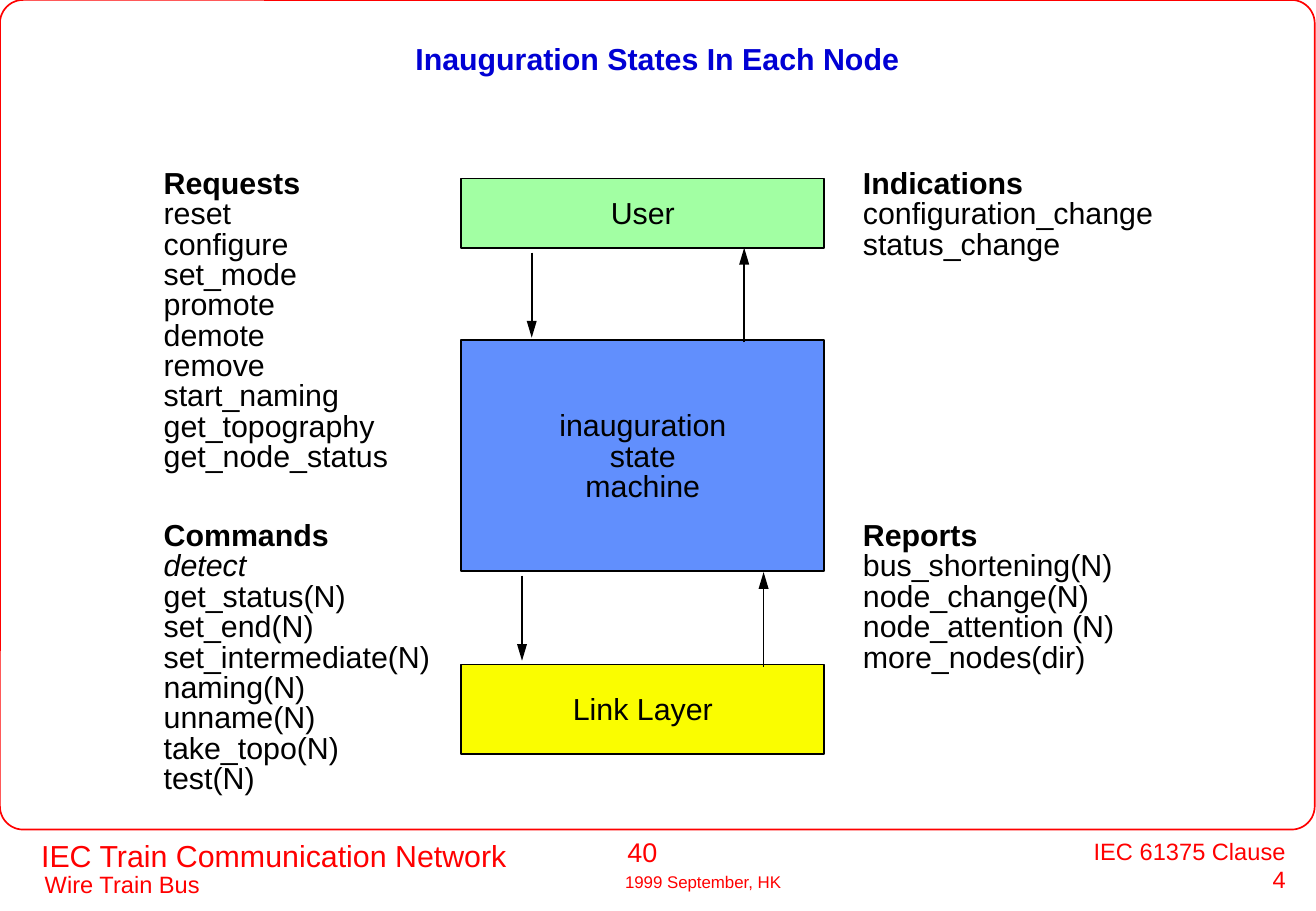
from lxml import etree
from pptx import Presentation
from pptx.dml.color import RGBColor
from pptx.enum.shapes import MSO_CONNECTOR, MSO_SHAPE
from pptx.enum.text import MSO_ANCHOR, PP_ALIGN
from pptx.oxml.ns import qn
from pptx.util import Inches, Pt

RECT = MSO_SHAPE.RECTANGLE
ROUND = MSO_SHAPE.ROUNDED_RECTANGLE
LINE = MSO_CONNECTOR.STRAIGHT
LEFT, MID, RIGHT = PP_ALIGN.LEFT, PP_ALIGN.CENTER, PP_ALIGN.RIGHT
TOP, CENTER = MSO_ANCHOR.TOP, MSO_ANCHOR.MIDDLE
BLACK, RED, BLUE = "000000", "FF0000", "0000D4"


def color(text):
    return RGBColor.from_string(text)


class Board:
    font = "Arial"
    size = 18
    pitch = Pt(18)

    def __init__(self, deck):
        self.slide = deck.slides.add_slide(deck.slide_layouts[5])
        self.shapes = self.slide.shapes

    def run(self, para, text, size, ink, bold=False, slant=False):
        run = para.add_run()
        run.text = text
        font = run.font
        font.name, font.size = self.font, Pt(size)
        font.bold, font.italic = bold, slant
        font.color.rgb = color(ink)

    def frame(self, shape, anchor, top=0.05, wrap=False):
        frame = shape.text_frame
        frame.word_wrap = wrap
        frame.vertical_anchor = anchor
        frame.margin_left = frame.margin_right = Inches(0.1)
        frame.margin_top, frame.margin_bottom = Inches(top), Inches(0.05)
        return frame

    def rows(self, frame, lines, align, head=False, slant=()):
        for num, text in enumerate(lines):
            para = frame.add_paragraph() if num else frame.paragraphs[0]
            para.alignment = align
            para.line_spacing = self.pitch
            self.run(para, text, self.size, BLACK, head and num == 0, text in slant)

    def title(self, text, *box):
        shape = self.shapes.title
        shape.left, shape.top, shape.width, shape.height = map(Inches, box)
        para = self.frame(shape, CENTER, wrap=True).paragraphs[0]
        para.alignment, para.line_spacing = MID, 0.9
        self.run(para, text, self.size, BLUE, True)

    def shape(self, kind, box, ink, fill=None):
        shape = self.shapes.add_shape(kind, *map(Inches, box))
        shape.shadow.inherit = False
        if fill:
            shape.fill.solid()
            shape.fill.fore_color.rgb = color(fill)
        else:
            shape.fill.background()
        shape.line.color.rgb = color(ink)
        shape.line.width = Pt(1)
        return shape

    def border(self, *box):
        self.shape(ROUND, box, RED).adjustments[0] = 0.028

    def block(self, lines, top, high, fill):
        shape = self.shape(RECT, (3.8, top, 2.99, high), BLACK, fill)
        self.rows(self.frame(shape, CENTER, 0.09), lines, MID)

    def label(self, text, box, size, align=LEFT):
        shape = self.shapes.add_textbox(*map(Inches, box))
        para = self.frame(shape, TOP).paragraphs[0]
        para.alignment = align
        self.run(para, text, size, RED)

    def column(self, lines, left, top, slant=()):
        high = 0.15 + 0.25 * len(lines)
        shape = self.shapes.add_textbox(*map(Inches, (left, top, 2.6, high)))
        self.rows(self.frame(shape, TOP, 0.09), lines, LEFT, True, slant)

    def arrow(self, left, start, end):
        line = self.shapes.add_connector(LINE, *map(Inches, (left, start, left, end)))
        line.line.color.rgb = color(BLACK)
        line.line.width = Pt(1)
        stroke = line.line._get_or_add_ln()
        etree.SubElement(stroke, qn("a:tailEnd"), type="triangle", w="med", len="lg")
        etree.SubElement(line._element.spPr, qn("a:effectLst"))


def main():
    deck = Presentation()
    deck.slide_width, deck.slide_height = Inches(10.84), Inches(7.5)
    board = Board(deck)

    board.border(0, 0, 10.83, 6.83)
    board.title("Inauguration States In Each Node", 0.18, 0.22, 10.47, 0.56)

    board.label("IEC Train Communication Network", (0.24, 6.84, 4.05, 0.4), 18)
    board.label("Wire Train Bus", (0.27, 7.11, 1.49, 0.33), 14)
    board.label("40", (5.07, 6.83, 1.21, 0.36), 16)
    board.label("1999 September, HK", (5.05, 7.13, 1.49, 0.26), 10)
    board.label("IEC 61375 Clause 4", (8.75, 6.84, 1.94, 0.56), 14, RIGHT)

    board.block(["User"], 1.47, 0.57, "A2FFA3")
    board.block(["inauguration", "state", "machine"], 2.8, 1.9, "618FFD")
    board.block(["Link Layer"], 5.47, 0.74, "FAFD00")

    for left, start, end in (
        (4.38, 2.08, 2.78),
        (4.3, 4.74, 5.44),
        (6.13, 2.82, 2.04),
        (6.29, 5.49, 4.71),
    ):
        board.arrow(left, start, end)

    west, east, upper, lower = 1.25, 7.01, 1.31, 4.21
    board.column(
        ["Requests", "reset", "configure", "set_mode", "promote", "demote",
         "remove", "start_naming", "get_topography", "get_node_status"],
        west, upper)
    board.column(
        ["Commands", "detect", "get_status(N)", "set_end(N)",
         "set_intermediate(N)", "naming(N)", "unname(N)", "take_topo(N)",
         "test(N)"],
        west, lower, ("detect",))
    board.column(
        ["Indications", "configuration_change", "status_change"], east, upper)
    board.column(
        ["Reports", "bus_shortening(N)", "node_change(N)",
         "node_attention (N)", "more_nodes(dir)"],
        east, lower)

    deck.save("out.pptx")


if __name__ == "__main__":
    main()
